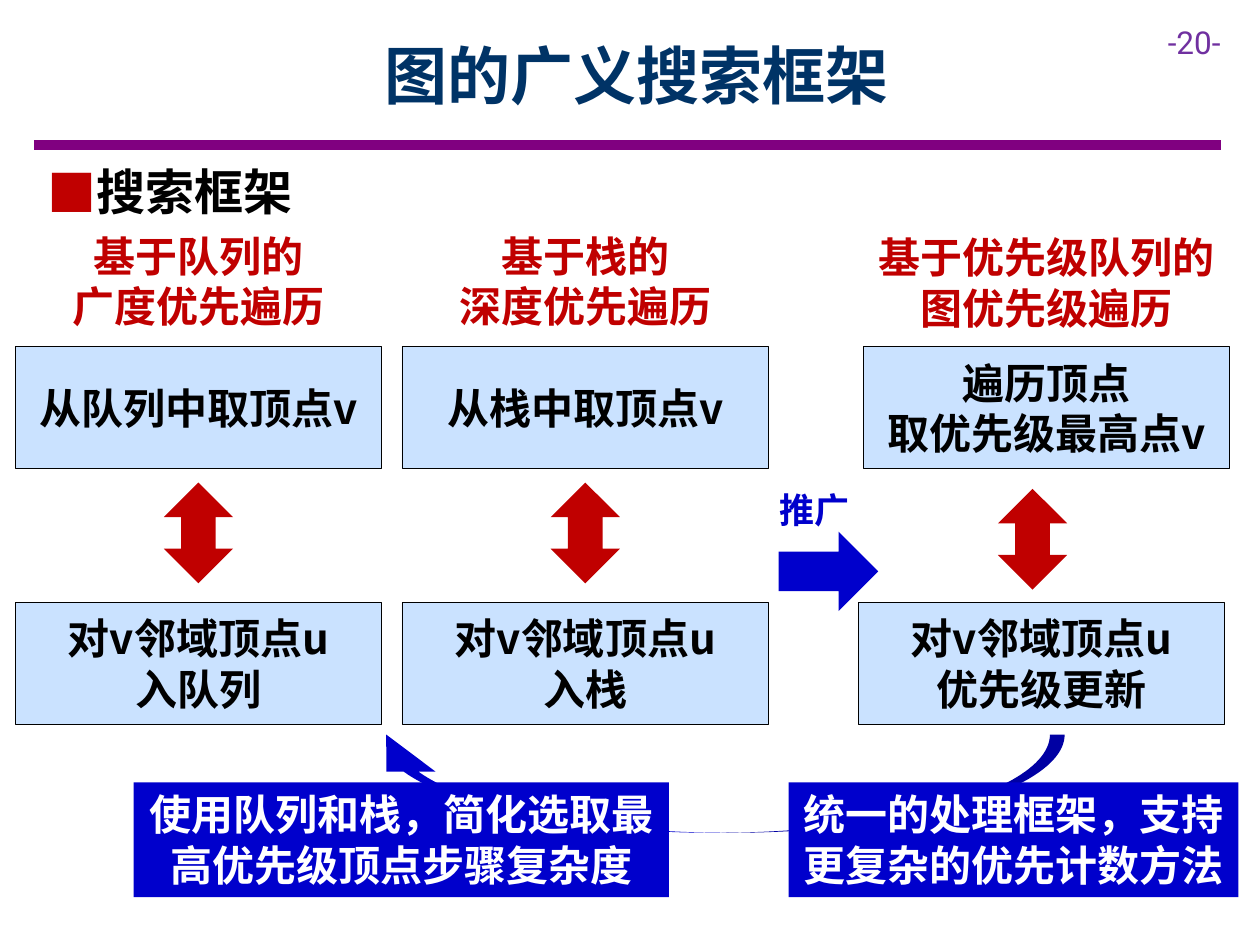
import pptx
import pptx.util
import pptx.dml.color
import pptx.enum.shapes
import pptx.enum.text
import pptx.oxml.ns
import lxml.etree

SCALE = 9144
SHAPE = pptx.enum.shapes.MSO_SHAPE
ALIGN = pptx.enum.text.PP_ALIGN
ANCHOR = pptx.enum.text.MSO_ANCHOR
CJK = "Noto Sans CJK SC"
RED, BLUE, PALE, BLACK, WHITE = "C00000", "0000CC", "CAE2FF", "000000", "FFFFFF"


def px(n):
    return pptx.util.Emu(n * SCALE)


def rgb(value):
    return pptx.dml.color.RGBColor.from_string(value)


def sub(parent, tag, **attrs):
    return lxml.etree.SubElement(parent, pptx.oxml.ns.qn(tag), attrs)


def place(sp, box):
    for name, n in zip(("left", "top", "width", "height"), box):
        setattr(sp, name, px(n))


def write(sp, text, size, color, align=ALIGN.CENTER, font=CJK, bold=True,
          inset=(10, 5), wrap=True, anchor=ANCHOR.TOP, after=0, bullet=None):
    tf = sp.text_frame
    frame = {
        "margin_left": px(inset[0]), "margin_right": px(inset[0]),
        "margin_top": px(inset[1]), "margin_bottom": px(inset[1]),
        "word_wrap": wrap, "vertical_anchor": anchor,
        "auto_size": pptx.enum.text.MSO_AUTO_SIZE.NONE,
    }
    for name, value in frame.items():
        setattr(tf, name, value)
    for i, line in enumerate(text.split("\n")):
        p = tf.paragraphs[0] if i == 0 else tf.add_paragraph()
        spacing = {"alignment": align, "space_before": pptx.util.Pt(0),
                   "space_after": pptx.util.Pt(after)}
        for name, value in spacing.items():
            setattr(p, name, value)
        if bullet:
            pPr = p._p.get_or_add_pPr()
            pPr.set("marL", str(px(38)))
            pPr.set("indent", str(px(-38)))
            sub(sub(pPr, "a:buClr"), "a:srgbClr", val=RED)
            sub(pPr, "a:buFont", typeface=CJK)
            sub(pPr, "a:buChar", char=bullet)
        r = p.add_run()
        r.text = line
        style = {"size": pptx.util.Pt(size), "bold": bold, "name": font}
        for name, value in style.items():
            setattr(r.font, name, value)
        r.font.color.rgb = rgb(color)
        sub(r._r.get_or_add_rPr(), "a:ea", typeface=font)


def add_block(s, kind, box, fill, line=None):
    sp = s.shapes.add_shape(kind, *map(px, box))
    sp.shadow.inherit = False
    sp.fill.solid()
    sp.fill.fore_color.rgb = rgb(fill)
    if line:
        sp.line.color.rgb = rgb(line)
        sp.line.width = pptx.util.Pt(0.25)
    else:
        sp.line.fill.background()
    return sp


def add_label(s, box, text, size, color, **options):
    write(s.shapes.add_textbox(*map(px, box)), text, size, color, **options)


def add_header(s, box):
    x, y, w, h = box
    rule = s.shapes.add_connector(pptx.enum.shapes.MSO_CONNECTOR.STRAIGHT,
                                  px(x), px(y + h), px(x + w), px(y + h))
    rule.line.color.rgb = rgb("800080")
    rule.line.width = pptx.util.Pt(6)
    sub(rule._element.spPr, "a:effectLst")
    add_label(s, (x + 890, y + 4, 83, 40), "-20-", 18, "7030A0",
              align=ALIGN.LEFT, font="Roboto", bold=False)
    title = s.shapes.title
    place(title, (x + 63, y, 831, 100))
    write(title, "图的广义搜索框架", 36, "003366", anchor=ANCHOR.MIDDLE)


def add_topic(s, box):
    body = s.placeholders[1]
    place(body, box)
    write(body, "搜索框架", 28, BLACK, align=ALIGN.LEFT, after=6, bullet="■")


def add_column(s, box, heading, take, update, head_dx=0, head_dy=0, head_w=291,
               arrow_dx=118, arrow_dy=205, update_dx=0):
    x, y, w, h = box
    middle = {"inset": (10, 10), "anchor": ANCHOR.MIDDLE}
    add_label(s, (x + head_dx, y + head_dy, head_w, 90), heading, 24, RED, **middle)
    for dx, dy, text in ((0, 97, take), (update_dx, h - 97, update)):
        step = add_block(s, SHAPE.RECTANGLE, (x + dx, y + dy, w, 97), PALE, BLACK)
        write(step, text, 24, BLACK, **middle)
    add_block(s, SHAPE.UP_DOWN_ARROW, (x + arrow_dx, y + arrow_dy, 55, 80), RED)


def add_generalise(s, box):
    x, y, w, h = box
    add_block(s, SHAPE.RIGHT_ARROW, (x + 9, y + h - 63, 79, 63), BLUE)
    add_label(s, (x, y, 76, 44), "推广", 20, BLUE,
              align=ALIGN.LEFT, wrap=False, after=6)


def add_conclusion(s, box):
    x, y, w, h = box
    curve = add_block(s, SHAPE.CURVED_DOWN_ARROW, (x + 181, y, 558, 78), BLUE)
    for i, value in enumerate((0.15, 0.5, 0.377)):
        curve.adjustments[i] = value
    for flip in ("flipH", "flipV"):
        curve._element.spPr.xfrm.set(flip, "1")
    notes = ((520, 357, "统一的处理框架，支持更复杂的优先计数方法"),
             (0, 425, "使用队列和栈，简化选取最高优先级顶点步骤复杂度"))
    for dx, width, text in notes:
        note = add_block(s, SHAPE.RECTANGLE, (x + dx, y + h - 91, width, 91), BLUE)
        write(note, text, 24, WHITE)


def main():
    prs = pptx.Presentation()
    prs.slide_width, prs.slide_height = px(1000), px(750)
    s = prs.slides.add_slide(prs.slide_layouts[1])
    add_header(s, (27, 9, 942, 106))
    add_topic(s, (28, 123, 346, 57))
    add_column(s, (12, 178, 291, 397), "基于队列的\n广度优先遍历",
               "从队列中取顶点v", "对v邻域顶点u\n入队列")
    add_column(s, (319, 178, 291, 397), "基于栈的\n深度优先遍历",
               "从栈中取顶点v", "对v邻域顶点u\n入栈")
    add_column(s, (685, 178, 291, 397), "基于优先级队列的\n图优先级遍历",
               "遍历顶点\n取优先级最高点v", "对v邻域顶点u\n优先级更新",
               head_dx=-12, head_dy=1, head_w=315,
               arrow_dx=107, arrow_dy=210, update_dx=-4)
    add_generalise(s, (609, 383, 88, 102))
    add_conclusion(s, (106, 583, 877, 129))
    prs.save("out.pptx")


if __name__ == "__main__":
    main()
